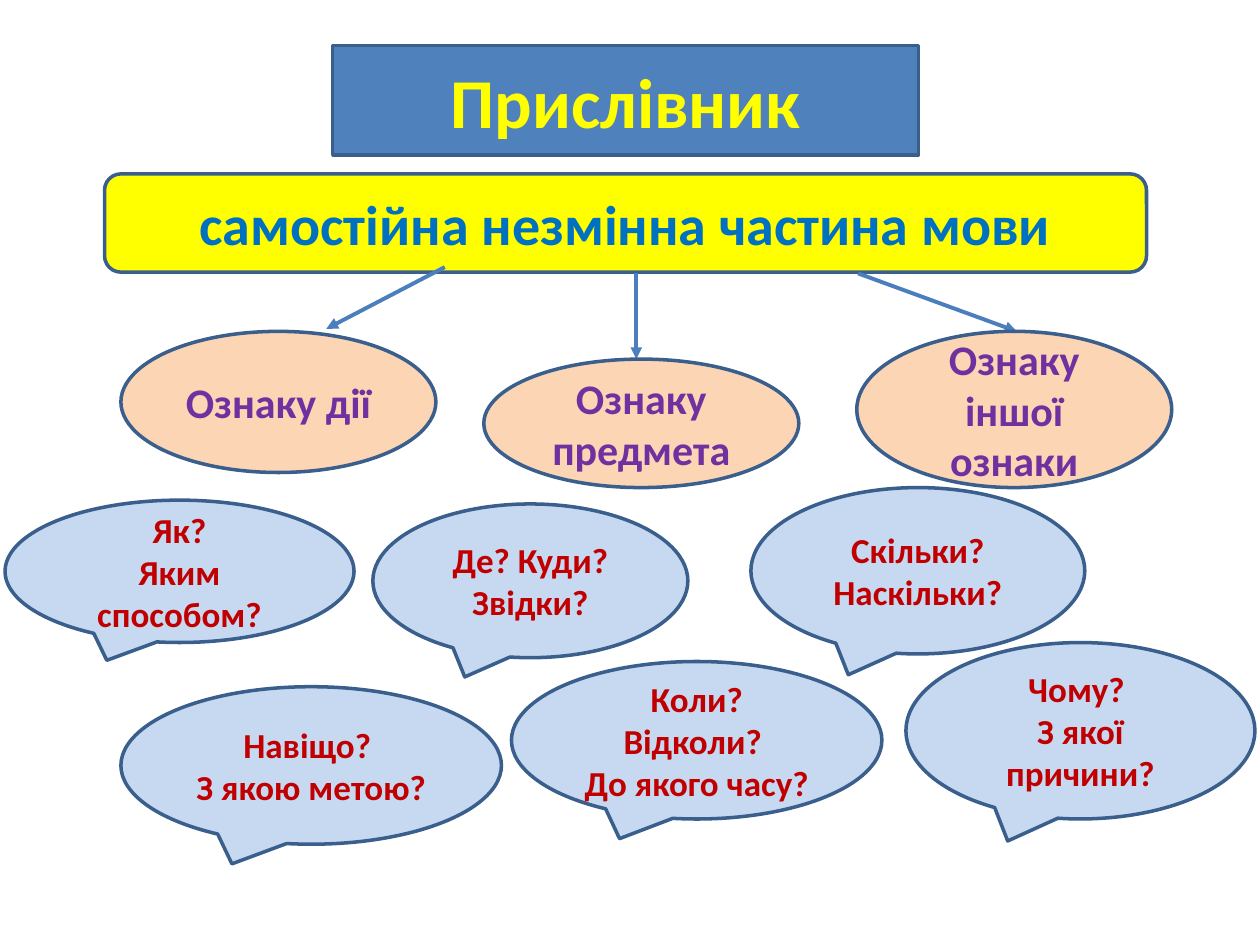
from dataclasses import dataclass, field

from lxml.etree import SubElement
from pptx import Presentation
from pptx.dml.color import RGBColor
from pptx.enum.shapes import MSO_CONNECTOR, MSO_SHAPE
from pptx.enum.text import MSO_ANCHOR, MSO_AUTO_SIZE, PP_ALIGN
from pptx.oxml.ns import qn
from pptx.slide import Slide
from pptx.util import Inches, Pt

COLORS = {
    "blue": "4F81BD",
    "outline": "3A5F8C",
    "arrow": "4B7EBC",
    "yellow": "FFFF00",
    "azure": "0070C0",
    "peach": "FCD5B5",
    "violet": "7030A0",
    "sky": "C6D9F1",
    "red": "C00000",
}


@dataclass
class Diagram:
    """Draws styled diagram parts on a slide, on a grid of 100 columns by 75 rows."""

    slide: Slide
    font: str = "Calibri"
    cell: int = Inches(0.1)
    colors: dict = field(default_factory=lambda: COLORS)

    def grid(self, *lengths):
        return [round(length * self.cell) for length in lengths]

    def color(self, name):
        return RGBColor.from_string(self.colors[name])

    def style(self, part, lines, fill, ink, size):
        part.fill.solid()
        part.fill.fore_color.rgb = self.color(fill)
        part.line.color.rgb = self.color("outline")
        part.line.width = Pt(2)
        frame = part.text_frame
        frame.word_wrap = True
        frame.auto_size = MSO_AUTO_SIZE.NONE
        frame.vertical_anchor = MSO_ANCHOR.MIDDLE
        frame.text = "\n".join(lines)
        for paragraph in frame.paragraphs:
            paragraph.alignment = PP_ALIGN.CENTER
            paragraph.font.name = self.font
            paragraph.font.size = Pt(size)
            paragraph.font.bold = True
            paragraph.font.color.rgb = self.color(ink)

    def title(self, text, box):
        heading = self.slide.shapes.title
        heading.left, heading.top, heading.width, heading.height = self.grid(*box)
        self.style(heading, [text], "blue", "yellow", 40)

    def node(self, preset, lines, box, fill, ink, size):
        part = self.slide.shapes.add_shape(preset, *self.grid(*box))
        part.shadow.inherit = False
        self.style(part, lines, fill, ink, size)

    def definition(self, text, box):
        self.node(MSO_SHAPE.ROUNDED_RECTANGLE, [text], box, "yellow", "azure", 32)

    def feature(self, text, box):
        self.node(MSO_SHAPE.OVAL, [text], box, "peach", "violet", 24)

    def question(self, lines, box):
        self.node(MSO_SHAPE.OVAL_CALLOUT, lines, box, "sky", "red", 20)

    def arrow(self, start, end):
        link = self.slide.shapes.add_connector(
            MSO_CONNECTOR.STRAIGHT, *self.grid(*start, *end))
        link.line.color.rgb = self.color("arrow")
        link.line.width = Pt(2.25)
        SubElement(link.line._get_or_add_ln(), qn("a:tailEnd"), type="triangle")
        SubElement(link._element.spPr, qn("a:effectLst"))


ARROWS = [
    ((35.3, 21.2), (25.9, 26.1)),
    ((50.5, 21.7), (50.5, 28.5)),
    ((68.1, 21.7), (80.7, 26.3)),
]
FEATURES = [
    ("Ознаку дії", (9.6, 26.3, 25, 11.2)),
    ("Ознаку предмета", (38.4, 28.5, 25, 10.2)),
    ("Ознаку іншої ознаки", (68, 26.3, 25, 12.4)),
]
QUESTIONS = [
    (["Як?", "Яким способом?"], (0.4, 39.7, 27.7, 11.3)),
    (["Де? Куди?", "Звідки?"], (29.6, 40, 25, 12.2)),
    (["Навіщо? ", "З якою метою?"], (9.6, 54.5, 30.2, 12.5)),
    (["Коли? Відколи? ", "До якого часу?"], (40.6, 52.5, 29.4, 12.5)),
    (["Чому? ", "З якої причини?"], (71.9, 51, 27.7, 14)),
    (["Скільки? Наскільки?"], (59.6, 38.7, 26.5, 13.2)),
]


def main():
    deck = Presentation()
    deck.slide_width, deck.slide_height = Inches(10), Inches(7.5)
    title_only = deck.slide_layouts[5]
    diagram = Diagram(deck.slides.add_slide(title_only))

    diagram.title("Прислівник", (26.4, 3.6, 46.5, 8.7))
    diagram.definition("самостійна незмінна частина мови", (8.3, 13.8, 82.7, 7.8))
    for start, end in ARROWS:
        diagram.arrow(start, end)
    for text, box in FEATURES:
        diagram.feature(text, box)
    for lines, box in QUESTIONS:
        diagram.question(lines, box)

    deck.save("out.pptx")


if __name__ == "__main__":
    main()
